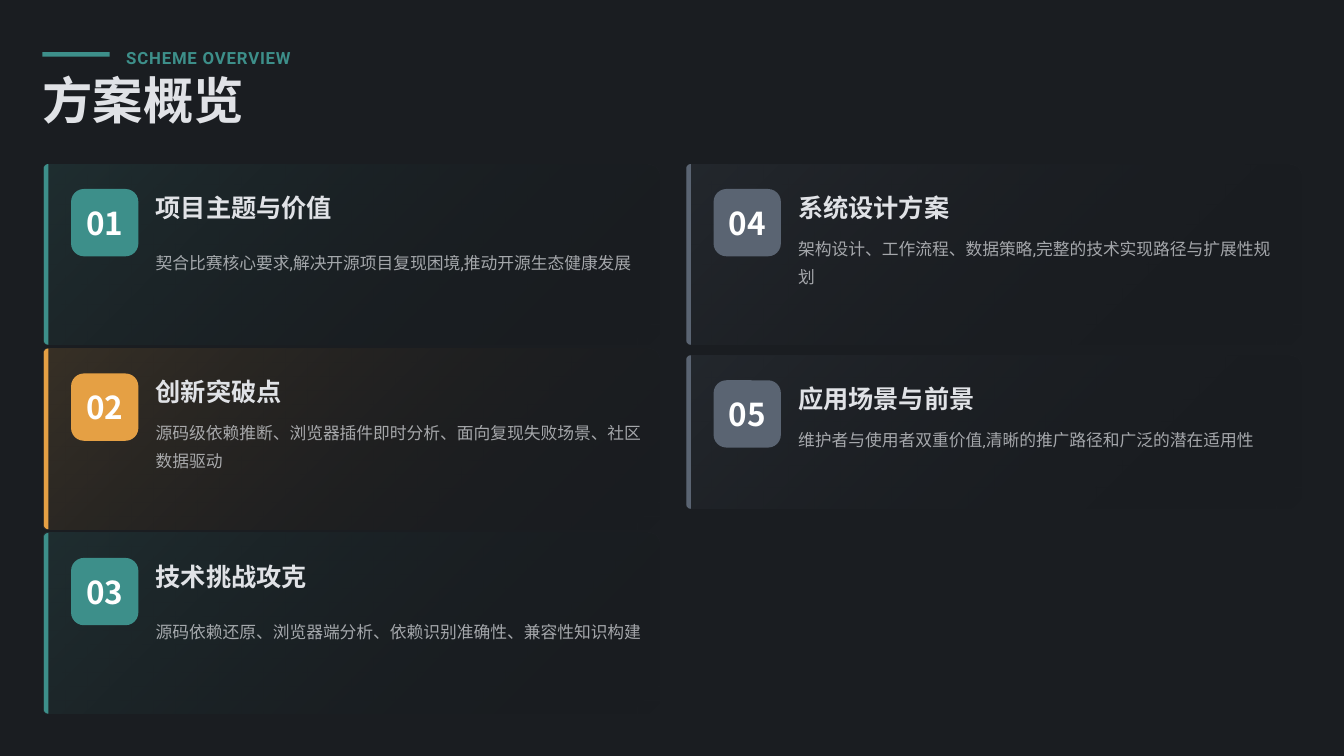
import math
from dataclasses import dataclass

from lxml import etree
from pptx import Presentation
from pptx import util as u
from pptx.dml.color import RGBColor
from pptx.enum import shapes, text
from pptx.oxml.ns import qn


@dataclass(frozen=True)
class Theme:
    back: str = "1A1D21"
    ink: str = "E0E2E6"
    white: str = "FFFFFF"
    black: str = "000000"
    teal: str = "3D8F8A"
    amber: str = "E5A044"
    slate: str = "5A6472"
    head: str = "Noto Sans CJK SC"
    body: str = "Roboto"
    title: int = 48
    number: int = 30
    topic: int = 24
    small: int = 16


def rgb(code):
    return RGBColor.from_string(code)


def fade(color, percent):
    """Give a colour element its opacity."""
    etree.SubElement(color, qn("a:alpha"), val=str(percent * 1000))


class Deck:
    def __init__(self, theme, slide):
        self.theme, self.slide = theme, slide
        slide.background.fill.solid()
        slide.background.fill.fore_color.rgb = rgb(theme.back)

    def letter(self, shape, words, size, color, font, bold=True, lead=None,
               align=text.PP_ALIGN.LEFT, alpha=None, space=None):
        frame = shape.text_frame
        frame.margin_left = frame.margin_right = 0
        frame.margin_top = frame.margin_bottom = 0
        frame.word_wrap = True
        frame.auto_size = text.MSO_AUTO_SIZE.NONE
        frame.vertical_anchor = text.MSO_ANCHOR.MIDDLE
        frame.text = words
        para = frame.paragraphs[0]
        para.alignment = align
        if lead:
            para.line_spacing = lead
        para.font.name, para.font.size = font, u.Pt(size)
        para.font.bold = bold
        para.font.color.rgb = rgb(color)
        # East Asian face, opacity and tracking
        props = next(shape.element.iter(qn("a:defRPr")))
        etree.SubElement(props, qn("a:ea"), typeface=font)
        if alpha:
            fade(next(props.iter(qn("a:srgbClr"))), alpha)
        if space:
            props.set("spc", str(round(space * 100)))

    def title(self, words, x, y, w, h):
        shape = self.slide.shapes.title
        shape.left, shape.top = u.Inches(x), u.Inches(y)
        shape.width, shape.height = u.Inches(w), u.Inches(h)
        t = self.theme
        self.letter(shape, words, t.title, t.ink, t.head, lead=0.8)

    def label(self, words, x, y, w, h, *style, **more):
        box = self.slide.shapes.add_textbox(*map(u.Inches, (x, y, w, h)))
        self.letter(box, words, *style, **more)

    def paint(self, shape, color):
        shape.shadow.inherit = False
        shape.line.fill.background()
        shape.fill.solid()
        shape.fill.fore_color.rgb = rgb(color)
        return shape

    def block(self, kind, x, y, w, h, color):
        shape = self.slide.shapes.add_shape(kind, *map(u.Inches, (x, y, w, h)))
        return self.paint(shape, color)

    def panel(self, x, y, w, h, left, right, color):
        """Rectangle whose left and right corners have their own radius."""
        spots = []
        corners = ((x + left, y + left, left, 180),
                   (x + w - right, y + right, right, 270),
                   (x + w - right, y + h - right, right, 0),
                   (x + left, y + h - left, left, 90))
        for cx, cy, r, start in corners:
            for step in range(0, 91, 10) if r else (0,):
                turn = math.radians(start + step)
                spots.append((u.Inches(cx + r * math.cos(turn)),
                              u.Inches(cy + r * math.sin(turn))))
        outline = self.slide.shapes.build_freeform(*spots[0])
        outline.add_line_segments(spots[1:], close=True)
        return self.paint(outline.convert_to_shape(), color)

    def glow(self, shape, color):
        """Diagonal fade from a faint tint to nothing."""
        fill = shape.fill
        fill.gradient()
        fill.gradient_angle = 315
        tints = ((color, 15), (self.theme.black, 0))
        for stop, (tint, _) in zip(fill.gradient_stops, tints):
            stop.color.rgb = rgb(tint)
        colors = list(shape.element.spPr.iter(qn("a:srgbClr")))
        for node, (_, alpha) in zip(colors, tints):
            fade(node, alpha)

    def card(self, x, y, h, body, number, topic, words, color):
        t = self.theme
        self.glow(self.panel(x, y, 8.14, h, 0.06, 0.16, color), color)
        self.panel(x, y, 0.06, h, 0.06, 0, color)
        # Number tile
        tile = self.block(shapes.MSO_SHAPE.ROUNDED_RECTANGLE,
                          x + 0.36, y + 0.33, 0.89, 0.89, color)
        tile.adjustments[0] = 0.19
        self.letter(tile, f"{number:02}", t.number, t.white, t.head,
                    align=text.PP_ALIGN.CENTER)
        # Topic and summary
        self.label(topic, x + 1.48, y + 0.33, 6.5, 0.44,
                   t.topic, t.ink, t.head, lead=1.1)
        self.label(words, x + 1.48, y + 0.89, 6.44, body,
                   t.small, t.ink, t.body, bold=False, lead=1.4, alpha=70)


def main():
    show = Presentation()
    show.slide_width, show.slide_height = u.Inches(17.78), u.Inches(10)
    t = Theme()
    deck = Deck(t, show.slides.add_slide(show.slide_layouts[5]))

    # Heading
    deck.block(shapes.MSO_SHAPE.RECTANGLE, 0.56, 0.69, 0.89, 0.06, t.teal)
    deck.label("SCHEME OVERVIEW", 1.67, 0.56, 2.38, 0.33,
               t.small, t.teal, t.body, lead=1.3, space=0.8)
    deck.title("方案概览", 0.56, 1.06, 17, 0.67)

    # Columns: left edge, gap, cards (topic, summary, colour, summary lines)
    columns = (
        (0.58, 0.05, (
            ("项目主题与价值",
             "契合比赛核心要求,解决开源项目复现困境,推动开源生态健康发展",
             t.teal, 2),
            ("创新突破点",
             "源码级依赖推断、浏览器插件即时分析、面向复现失败场景、社区数据驱动",
             t.amber, 2),
            ("技术挑战攻克",
             "源码依赖还原、浏览器端分析、依赖识别准确性、兼容性知识构建",
             t.teal, 2))),
        (9.08, 0.14, (
            ("系统设计方案",
             "架构设计、工作流程、数据策略,完整的技术实现路径与扩展性规划",
             t.slate, 2),
            ("应用场景与前景",
             "维护者与使用者双重价值,清晰的推广路径和广泛的潜在适用性",
             t.slate, 1))),
    )
    number = 0
    for x, gap, cards in columns:
        y = 2.17
        for topic, words, color, lines in cards:
            number += 1
            body = 0.36 * lines
            height = 1.67 + body
            deck.card(x, y, height, body, number, topic, words, color)
            y += height + gap

    show.save("out.pptx")


if __name__ == "__main__":
    main()
